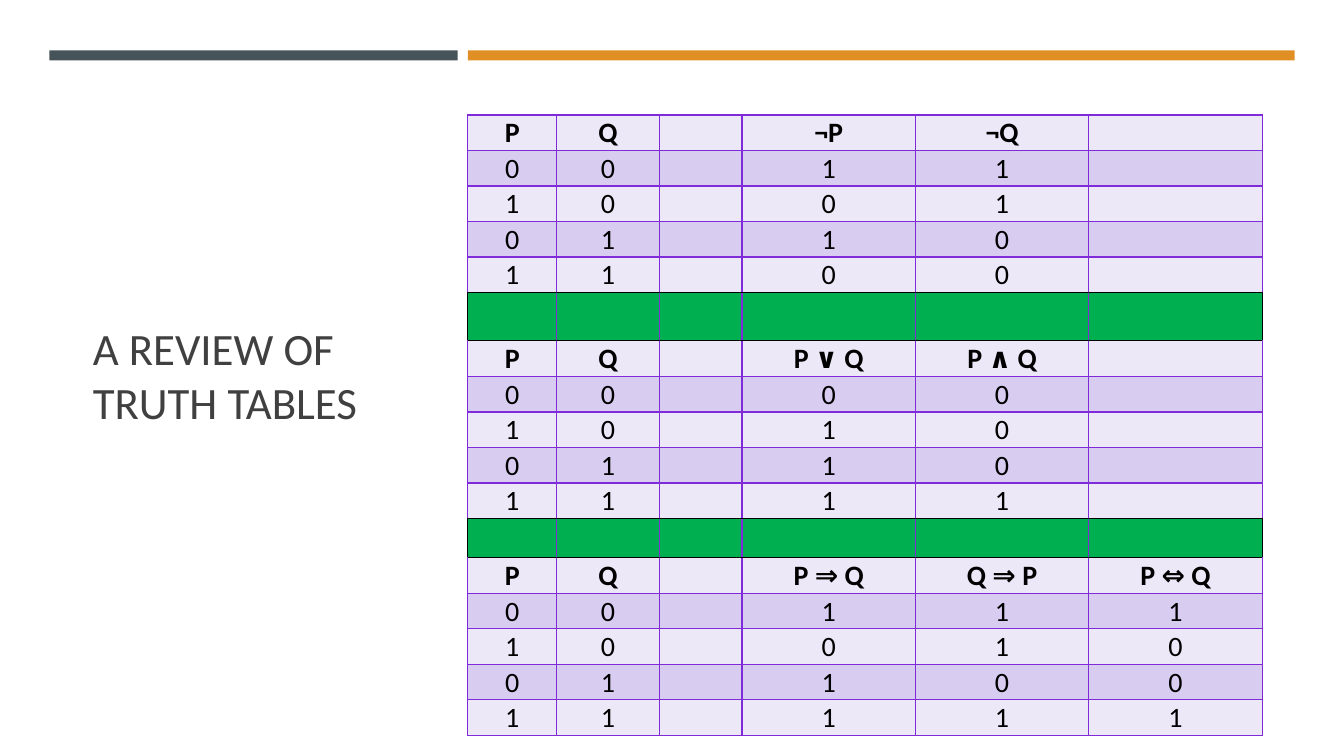
from lxml import etree
from pptx import Presentation
from pptx import util as u
from pptx.dml.color import RGBColor
from pptx.enum import shapes, text
from pptx.oxml.ns import qn

FONT = "Calibri"
PURPLE, BLACK, GREEN = "7F2BD9", "000000", "00B050"
LIGHT, DARK = "ECE8F8", "D8CDF1"

COLUMN_WIDTHS = [0.88, 1.02, 0.82, 1.72, 1.72, 1.72]
SEPARATOR_HEIGHTS = [0.48, 0.39]
INPUTS = [(0, 0), (1, 0), (0, 1), (1, 1)]
SECTIONS = [
    {"¬P": lambda p, q: not p, "¬Q": lambda p, q: not q},
    {"P ∨ Q": lambda p, q: p or q, "P ∧ Q": lambda p, q: p and q},
    {"P ⇒ Q": lambda p, q: not p or q, "Q ⇒ P": lambda p, q: not q or p,
     "P ⇔ Q": lambda p, q: p == q},
]


def color(hex_value):
    return RGBColor.from_string(hex_value)


def format_run(run, size, hex_value, bold=False):
    run.font.name = FONT
    run.font.size = u.Pt(size)
    run.font.bold = bold
    run.font.color.rgb = color(hex_value)


def add_title(slide, left, top, width, height):
    title = slide.shapes.title
    title.left, title.top = u.Inches(left), u.Inches(top)
    title.width, title.height = u.Inches(width), u.Inches(height)
    frame = title.text_frame
    frame.text = "A REVIEW OF TRUTH TABLES"
    frame.word_wrap = True
    frame.auto_size = text.MSO_AUTO_SIZE.NONE
    frame.vertical_anchor = text.MSO_ANCHOR.MIDDLE
    frame.paragraphs[0].alignment = text.PP_ALIGN.LEFT
    format_run(frame.paragraphs[0].runs[0], 32, "404040")


def add_bar(slide, left, top, width, height, fill):
    bar = slide.shapes.add_shape(
        shapes.MSO_SHAPE.RECTANGLE, u.Inches(left), u.Inches(top),
        u.Inches(width), u.Inches(height))
    bar.shadow.inherit = False
    bar.fill.solid()
    bar.fill.fore_color.rgb = color(fill)
    bar.line.fill.background()


def section_rows(formulas):
    """Return the header and the four value rows of one truth table."""
    padding = [""] * (3 - len(formulas))
    rows = [["P", "Q", "", *formulas, *padding]]
    for p, q in INPUTS:
        results = [str(int(rule(p, q))) for rule in formulas.values()]
        rows.append([str(p), str(q), "", *results, *padding])
    return rows


def set_borders(cell, left, right, top, bottom):
    properties = cell._tc.get_or_add_tcPr()
    for side, hex_value in zip("LRTB", (left, right, top, bottom)):
        line = etree.SubElement(properties, qn(f"a:ln{side}"), w=str(u.Pt(1)))
        fill = etree.SubElement(line, qn("a:solidFill"))
        etree.SubElement(fill, qn("a:srgbClr"), val=hex_value)


def format_cell(cell, value, fill, borders, bold):
    set_borders(cell, *borders)
    cell.fill.solid()
    cell.fill.fore_color.rgb = color(fill)
    cell.margin_left = cell.margin_right = cell.margin_top = u.Inches(0.01)
    cell.margin_bottom = 0
    cell.vertical_anchor = text.MSO_ANCHOR.BOTTOM
    if value:
        cell.text_frame.text = value
        paragraph = cell.text_frame.paragraphs[0]
        paragraph.alignment = text.PP_ALIGN.CENTER
        format_run(paragraph.runs[0], 20, BLACK, bold)


def add_truth_tables(slide, left, top, width, height):
    """Stack the sections in one table, with a green row between them."""
    blank = [""] * len(COLUMN_WIDTHS)
    rows = []
    for formulas in SECTIONS:
        rows += ([blank] if rows else []) + section_rows(formulas)
    block = len(INPUTS) + 2  # header, values and separator
    separators = range(block - 1, len(rows), block)

    table = slide.shapes.add_table(
        len(rows), len(blank), u.Inches(left), u.Inches(top),
        u.Inches(width), u.Inches(height)).table
    table.first_row = table.horz_banding = False
    for column, column_width in zip(table.columns, COLUMN_WIDTHS):
        column.width = u.Inches(column_width)
    row_height = (height - sum(SEPARATOR_HEIGHTS)) / (len(rows) - len(separators))
    for row in table.rows:
        row.height = u.Inches(row_height)
    for index, separator_height in zip(separators, SEPARATOR_HEIGHTS):
        table.rows[index].height = u.Inches(separator_height)

    for r, values in enumerate(rows):
        separator = r in separators
        position = r % block
        fill = GREEN if separator else (LIGHT, DARK)[position % 2]
        above = BLACK if separator or r - 1 in separators else PURPLE
        below = BLACK if separator or r + 1 in separators else PURPLE
        for c, value in enumerate(values):
            before = BLACK if separator and c == 0 else PURPLE
            after = BLACK if separator and c == len(values) - 1 else PURPLE
            format_cell(table.cell(r, c), value, fill,
                        (before, after, above, below), bold=position == 0)


def main():
    deck = Presentation()
    deck.slide_width, deck.slide_height = u.Inches(13.33), u.Inches(7.5)
    slide = deck.slides.add_slide(deck.slide_layouts[5])
    slide.background.fill.solid()
    slide.background.fill.fore_color.rgb = color("FFFFFF")
    add_title(slide, 0.82, 1.14, 3.34, 5.15)
    add_bar(slide, 0.49, 0.5, 4.05, 0.1, "465359")
    add_bar(slide, 4.64, 0.5, 8.2, 0.1, "E08F25")
    add_truth_tables(slide, 4.64, 1.14, sum(COLUMN_WIDTHS), 6.16)
    deck.save("out.pptx")


if __name__ == "__main__":
    main()
